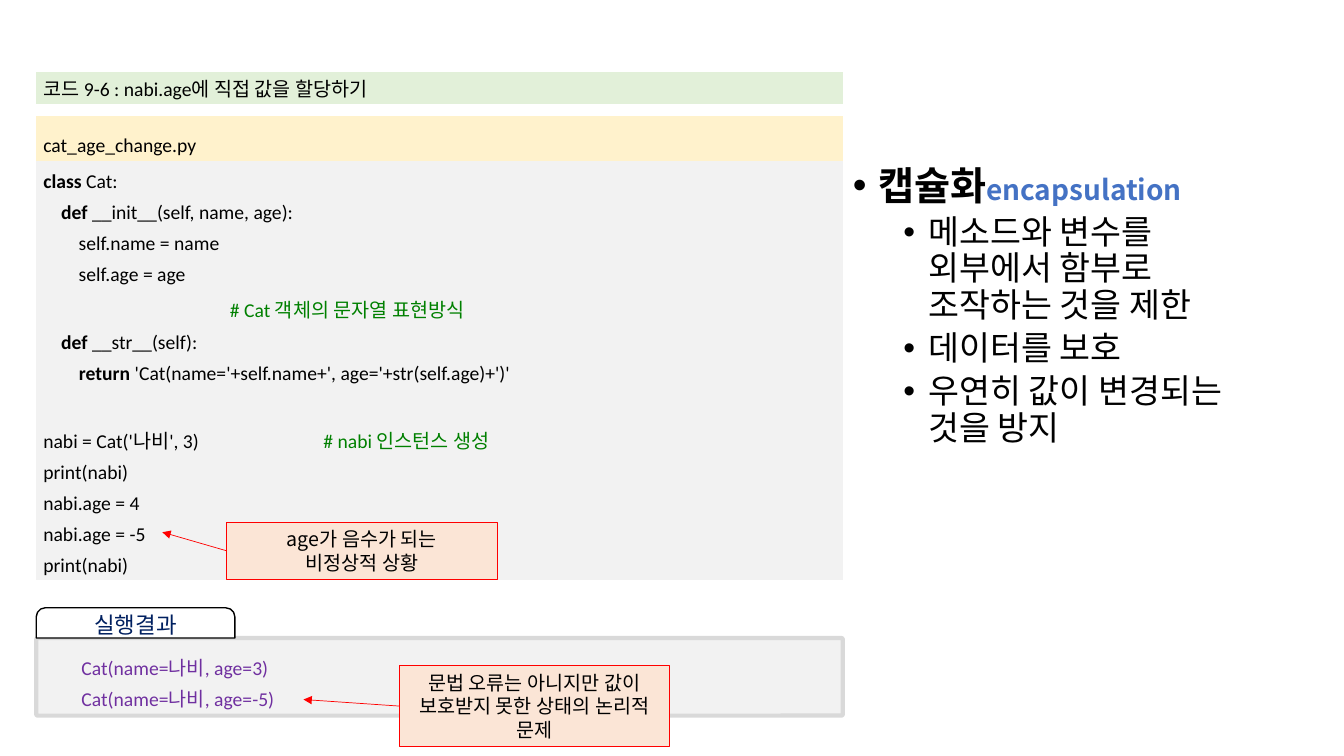
from dataclasses import dataclass
from lxml import etree
from pptx import Presentation
from pptx import util as u
from pptx.dml.color import RGBColor
from pptx.enum import shapes, text
from pptx.oxml.ns import qn


@dataclass(frozen=True)
class Theme:
    latin: str = "Calibri"
    korean: str = "Noto Sans CJK KR"
    ink: str = "000000"
    accent: str = "4472C4"
    comment: str = "008000"
    output: str = "7030A0"
    navy: str = "002060"
    red: str = "FF0000"
    white: str = "FFFFFF"
    green: str = "E2F0D9"
    yellow: str = "FFF2CC"
    gray: str = "F2F2F2"
    border: str = "D9D9D9"
    peach: str = "FBE5D6"
    code: int = 14
    tab: int = 16
    term: int = 20
    point: int = 24
    head: int = 28


T = Theme()
LEFT, WIDTH, TABLE_TOP = 0.36, 8, 0.71
ROWS = [0.32, 0.12, 0.44, 4.1]

CAPTION = "코드 9-6 : nabi.age에 직접 값을 할당하기"
FILE_NAME = "cat_age_change.py"
KEYWORDS = ("class", "def", "return")
CODE = """class Cat:
    def __init__(self, name, age):
        self.name = name
        self.age = age
                                          # Cat 객체의 문자열 표현방식
    def __str__(self):
        return 'Cat(name='+self.name+', age='+str(self.age)+')'

nabi = Cat('나비', 3)                            # nabi 인스턴스 생성
print(nabi)
nabi.age = 4
nabi.age = -5
print(nabi)""".split("\n")
RESULT_LABEL = "실행결과"
RESULT = ["Cat(name=나비, age=3)", "Cat(name=나비, age=-5)"]
CONCEPT = ("캡슐화", "encapsulation")
POINTS = ["메소드와 변수를 외부에서 함부로 조작하는 것을 제한",
          "데이터를 보호", "우연히 값이 변경되는 것을 방지"]
# box left, top, width, height; lines; arrow target
NOTES = [((2.25, 5.18, 2.68, 0.57), ["age가 음수가 되는", "비정상적 상황"], (1.61, 5.28)),
         ((3.96, 6.6, 2.68, 0.81), ["문법 오류는 아니지만 값이 보호받지 못한 상태의 논리적 문제"],
          (3.01, 6.94))]


def inches(*values):
    return [u.Inches(v) for v in values]


def rgb(value):
    return RGBColor.from_string(value)


def set_font(font, size, color=T.ink, latin=T.latin, bold=None):
    font.size, font.name, font.bold = u.Pt(size), latin, bold
    font.color.rgb = rgb(color)


def split_code(line):
    """Yield (text, bold, color) for the keyword, plain and comment parts of a line."""
    plain, mark, comment = line.partition("#")
    body = plain.lstrip(" ")
    word = body.split(" ")[0]
    if word in KEYWORDS:
        yield plain[:len(plain) - len(body)], False, T.ink
        yield word, True, T.ink
        plain = body[len(word):]
    yield plain, False, T.ink
    yield mark + comment, False, T.comment


def add_runs(p, parts, size, latin=T.latin):
    for words, bold, color in parts:
        if words:
            r = p.add_run()
            r.text = words
            set_font(r.font, size, color, latin, bold)
            etree.SubElement(r.font._element, qn("a:ea"), typeface=T.korean)


def size_empty(p, size):
    etree.SubElement(p._p, qn("a:endParaRPr"), sz=str(size * 100))


def paragraphs(tf, count):
    return [tf.paragraphs[0]] + [tf.add_paragraph() for _ in range(count - 1)]


def write_lines(tf, lines, size, color=T.ink, latin=T.latin,
                align=text.PP_ALIGN.CENTER, spacing=None):
    tf.word_wrap = True
    for p, line in zip(paragraphs(tf, len(lines)), lines):
        p.alignment, p.line_spacing = align, spacing
        add_runs(p, [(line, False, color)], size, latin)


def add_box(s, kind, box, fill, line, weight):
    sp = s.shapes.add_shape(kind, *inches(*box))
    sp.shadow.inherit = False
    sp.fill.solid()
    sp.fill.fore_color.rgb = rgb(fill)
    sp.line.color.rgb = rgb(line)
    sp.line.width = u.Pt(weight)
    sp.text_frame.vertical_anchor = text.MSO_ANCHOR.MIDDLE
    return sp


def add_concept(s):
    body = s.placeholders[1]
    body.left, body.top, body.width, body.height = inches(8.36, 1.6, 4.36, 4.76)
    tf = body.text_frame
    tf.auto_size = text.MSO_AUTO_SIZE.NONE
    for i, p in enumerate(paragraphs(tf, 1 + len(POINTS))):
        p.level = min(i, 1)
        p.line_spacing = 0.9
        p.space_before = u.Pt(5 if i else 0)
        pPr = p._p.get_or_add_pPr()
        pPr.set("marL", str(u.Inches(0.75 if i else 0.25)))
        pPr.set("indent", str(u.Inches(-0.25)))
        etree.SubElement(pPr, qn("a:buFont"), typeface="Arial")
        etree.SubElement(pPr, qn("a:buChar"), char="•")
        if i:
            add_runs(p, [(POINTS[i - 1], False, T.ink)], T.point, T.korean)
        else:
            add_runs(p, [(CONCEPT[0], True, T.ink)], T.head, T.korean)
            add_runs(p, [(CONCEPT[1], True, T.accent)], T.term, T.korean)


def add_listing(s):
    table = s.shapes.add_table(len(ROWS), 1, *inches(LEFT, TABLE_TOP, WIDTH, sum(ROWS))).table
    table.first_row = table.horz_banding = False
    table._tbl.tblPr.find(qn("a:tableStyleId")).text = "{2D5ABB26-0587-4C30-8999-92F81FD0307C}"
    contents = [([CAPTION], T.green, None), ([""], None, None),
                ([FILE_NAME], T.yellow, 1.6), (CODE, T.gray, 1.3)]
    for i, (lines, fill, spacing) in enumerate(contents):
        table.rows[i].height = u.Inches(ROWS[i])
        cell = table.cell(i, 0)
        cell.vertical_anchor = text.MSO_ANCHOR.MIDDLE
        cell.margin_left = cell.margin_right = u.Inches(0.07)
        cell.margin_top = cell.margin_bottom = u.Inches(0.02 if fill else 0)
        if fill:
            cell.fill.solid()
            cell.fill.fore_color.rgb = rgb(fill)
        else:
            cell.fill.background()
        for p, line in zip(paragraphs(cell.text_frame, len(lines)), lines):
            if spacing:
                p.alignment, p.line_spacing = text.PP_ALIGN.JUSTIFY, spacing
            add_runs(p, split_code(line), T.code)
            if not line:
                size_empty(p, T.code if fill else 1)


def add_result(s):
    panel = add_box(s, shapes.MSO_SHAPE.ROUNDED_RECTANGLE, (LEFT, 6.33, WIDTH, 0.77),
                    T.gray, T.border, 3)
    panel.adjustments[0] = 0.02
    tab = add_box(s, shapes.MSO_SHAPE.ROUND_2_SAME_RECTANGLE, (LEFT, 6.03, 1.97, 0.3),
                  T.white, T.ink, 1)
    tab.adjustments[0] = 0.3
    tab.text_frame.margin_top = tab.text_frame.margin_bottom = 0
    write_lines(tab.text_frame, [RESULT_LABEL], T.tab, T.navy, T.korean)
    output = s.shapes.add_textbox(*inches(0.71, 6.39, 7.3, 0.69))
    write_lines(output.text_frame, RESULT, T.code, T.output,
                align=text.PP_ALIGN.JUSTIFY, spacing=1.3)


def add_note(s, box, lines, target):
    sp = add_box(s, shapes.MSO_SHAPE.RECTANGLE, box, T.peach, T.red, 0.75)
    write_lines(sp.text_frame, lines, T.code, latin=T.korean)
    left, top, _, height = box
    arrow = s.shapes.add_connector(shapes.MSO_CONNECTOR.STRAIGHT,
                                   *inches(left, top + height / 2, *target))
    arrow.line.color.rgb = rgb(T.red)
    arrow.line.width = u.Pt(0.5)
    etree.SubElement(arrow.line._get_or_add_ln(), qn("a:tailEnd"), type="triangle")
    etree.SubElement(arrow._element.spPr, qn("a:effectLst"))


def main():
    prs = Presentation()
    prs.slide_width, prs.slide_height = inches(13.33, 7.5)
    s = prs.slides.add_slide(prs.slide_layouts[1])
    title = s.shapes.title._element
    title.getparent().remove(title)
    add_concept(s)
    add_listing(s)
    add_result(s)
    for note in NOTES:
        add_note(s, *note)
    prs.save("out.pptx")


if __name__ == "__main__":
    main()
